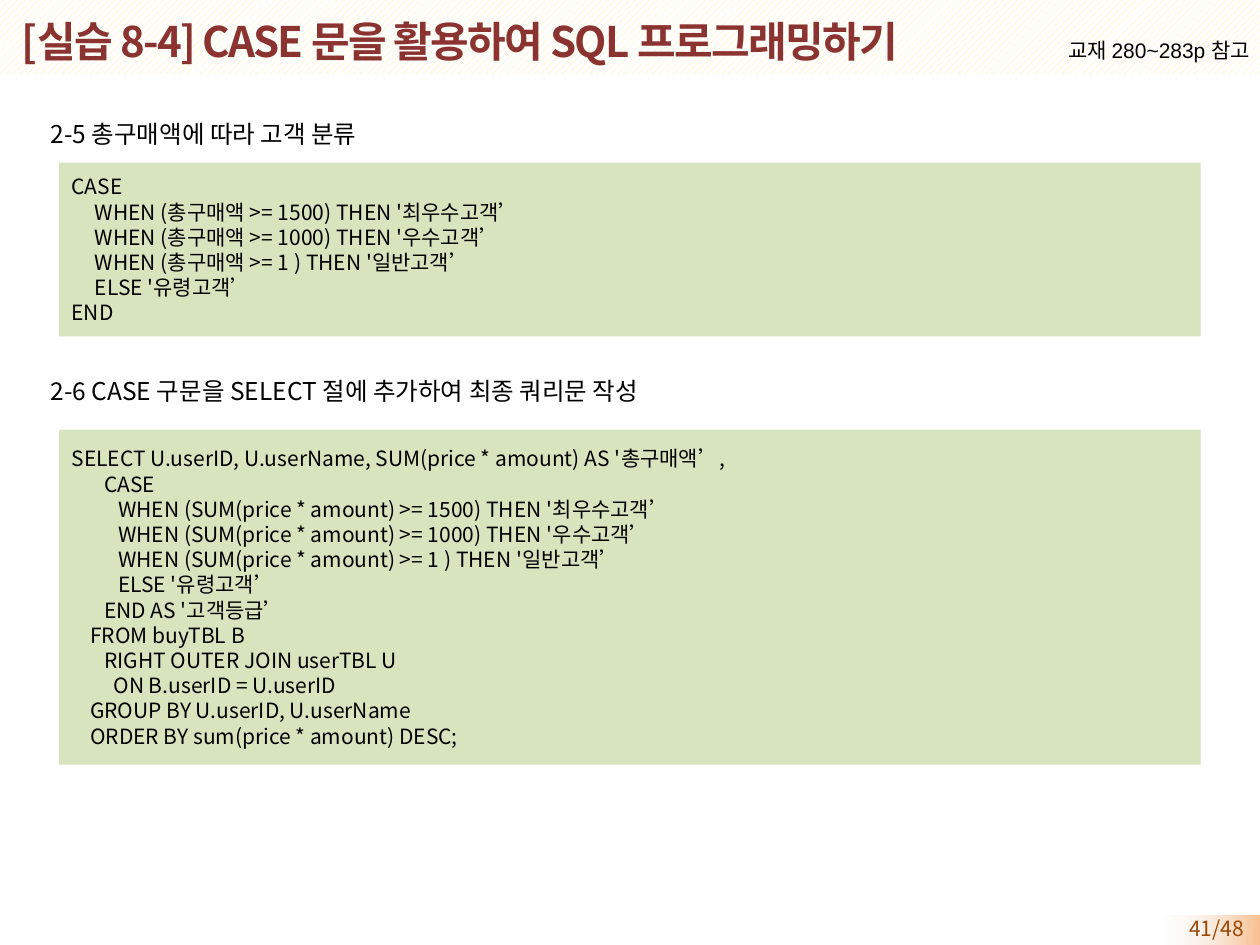
import pptx
import pptx.util
import pptx.dml.color
import pptx.enum.dml
import pptx.enum.shapes
import pptx.enum.text
import pptx.oxml.ns
from dataclasses import dataclass
from lxml import etree

Inches, Pt = pptx.util.Inches, pptx.util.Pt
ALIGN = pptx.enum.text.PP_ALIGN
ANCHOR = pptx.enum.text.MSO_ANCHOR
qn = pptx.oxml.ns.qn


@dataclass(frozen=True)
class Theme:
    font: str = "Noto Sans CJK KR"
    note_font: str = "Arial"
    ink: str = "000000"
    title_ink: str = "8B3331"
    page_ink: str = "984807"
    code_fill: str = "D7E4BD"
    stripe: str = "FDED9C"
    paper: str = "FFFFFF"
    tab_start: str = "FAC090"
    tab_end: str = "F2F2F2"
    title_size: int = 24
    heading_size: int = 14
    text_size: int = 12
    code_pitch: float = 14.4
    heading_pitch: int = 20
    code_space: float = 0.037  # width of one code column, inches


def rgb(value):
    return pptx.dml.color.RGBColor.from_string(value)


class SlideBuilder:
    def __init__(self, slide, theme):
        self.slide = slide
        self.theme = theme

    def place(self, shape, left, top, width, height):
        shape.left, shape.top = Inches(left), Inches(top)
        shape.width, shape.height = Inches(width), Inches(height)

    def style(self, paragraph, size, color, font=None, bold=False):
        for run in paragraph.runs:
            run.font.name = font or self.theme.font
            run.font.size = Pt(size)
            run.font.bold = bold
            run.font.color.rgb = rgb(color)
            east_asian = etree.Element(qn("a:ea"), typeface=self.theme.font)
            run.font._element.find(qn("a:latin")).addnext(east_asian)

    def rectangle(self, *box):
        shape = self.slide.shapes.add_shape(
            pptx.enum.shapes.MSO_SHAPE.RECTANGLE, *map(Inches, box))
        shape.shadow.inherit = False
        shape.line.fill.background()
        return shape

    def send_to_back(self, shape):
        shape.element.getparent().insert(2, shape.element)

    def striped_band(self, *box):
        band = self.rectangle(*box)
        band.fill.patterned()
        band.fill.pattern = pptx.enum.dml.MSO_PATTERN.WIDE_UPWARD_DIAGONAL
        band.fill.fore_color.rgb = rgb(self.theme.stripe)
        band.fill.back_color.rgb = rgb(self.theme.paper)
        self.send_to_back(band)

    def fading_tab(self, *box):
        tab = self.rectangle(*box)
        tab.fill.gradient()
        tab.fill.gradient_angle = 180
        stops = tab.fill.gradient_stops
        for stop, color, position in zip(
                stops, (self.theme.tab_start, self.theme.tab_end), (0, 1)):
            stop.color.rgb = rgb(color)
            stop.position = position
        end_color = tab.element.findall(".//" + qn("a:srgbClr"))[-1]
        etree.SubElement(end_color, qn("a:alpha"), val="0")
        self.send_to_back(tab)

    def title(self, text, *box):
        title = self.slide.shapes.title
        self.place(title, *box)
        frame = title.text_frame
        frame.text = text
        frame.vertical_anchor = ANCHOR.MIDDLE
        frame.auto_size = pptx.enum.text.MSO_AUTO_SIZE.NONE
        heading = frame.paragraphs[0]
        heading.alignment = ALIGN.LEFT
        self.style(heading, self.theme.title_size, self.theme.title_ink, bold=True)
        for run in heading.runs:
            run.font._element.set("spc", "-100")

    def headings(self, texts, gap, *box):
        body = self.slide.placeholders[1]
        self.place(body, *box)
        frame = body.text_frame
        frame.text = "\n".join(texts)
        frame.auto_size = pptx.enum.text.MSO_AUTO_SIZE.NONE
        for index, heading in enumerate(frame.paragraphs):
            heading.line_spacing = Pt(self.theme.heading_pitch)
            heading.space_before = Pt(gap if index else 0)
            properties = heading._p.get_or_add_pPr()
            properties.set("marL", str(Inches(0.23)))
            properties.set("indent", "0")
            etree.SubElement(properties, qn("a:buNone"))
            self.style(heading, self.theme.heading_size, self.theme.ink)

    def label(self, text, color, font, anchor, wrap, *box):
        label = self.slide.shapes.add_textbox(*map(Inches, box))
        frame = label.text_frame
        frame.text = text
        frame.word_wrap = wrap
        frame.vertical_anchor = anchor
        frame.paragraphs[0].alignment = ALIGN.RIGHT
        self.style(frame.paragraphs[0], self.theme.text_size, color, font)

    def code(self, lines, *box):
        """Each line is a pair: indent in columns, statement."""
        panel = self.rectangle(*box)
        panel.fill.solid()
        panel.fill.fore_color.rgb = rgb(self.theme.code_fill)
        frame = panel.text_frame
        frame.text = "\n".join(statement for _, statement in lines)
        frame.vertical_anchor = ANCHOR.MIDDLE
        for (columns, _), row in zip(lines, frame.paragraphs):
            row.alignment = ALIGN.JUSTIFY
            row.line_spacing = Pt(self.theme.code_pitch)
            properties = row._p.get_or_add_pPr()
            properties.set("marL", str(Inches(columns * self.theme.code_space)))
            properties.set("indent", "0")
            self.style(row, self.theme.text_size, self.theme.ink)


CASE_CODE = [
    (0, "CASE"),
    (5, "WHEN (총구매액 >= 1500) THEN '최우수고객’"),
    (5, "WHEN (총구매액 >= 1000) THEN '우수고객’"),
    (5, "WHEN (총구매액 >= 1 ) THEN '일반고객’"),
    (5, "ELSE '유령고객’"),
    (0, "END"),
]
QUERY_CODE = [
    (0, "SELECT U.userID, U.userName, SUM(price * amount) AS '총구매액’,"),
    (7, "CASE"),
    (10, "WHEN (SUM(price * amount) >= 1500) THEN '최우수고객’"),
    (10, "WHEN (SUM(price * amount) >= 1000) THEN '우수고객’"),
    (10, "WHEN (SUM(price * amount) >= 1 ) THEN '일반고객’"),
    (10, "ELSE '유령고객’"),
    (7, "END AS '고객등급’"),
    (4, "FROM buyTBL B"),
    (7, "RIGHT OUTER JOIN userTBL U"),
    (9, "ON B.userID = U.userID"),
    (4, "GROUP BY U.userID, U.userName"),
    (4, "ORDER BY sum(price * amount) DESC;"),
]


def main():
    deck = pptx.Presentation()
    deck.slide_width, deck.slide_height = Inches(10), Inches(7.5)
    theme = Theme()
    page = SlideBuilder(deck.slides.add_slide(deck.slide_layouts[1]), theme)

    # Header and footer decoration
    page.striped_band(0, -0.02, 10, 0.61)
    page.fading_tab(9.2, 7.27, 0.8, 0.24)

    # Title, textbook reference and page number
    page.title("[실습 8-4] CASE 문을 활용하여 SQL 프로그래밍하기", 0.07, 0.06, 8.51, 0.52)
    page.label("교재 280~283p 참고", theme.ink, theme.note_font, ANCHOR.TOP, False,
               8.25, 0.25, 1.77, 0.3)
    page.label("41/48", theme.page_ink, theme.font, ANCHOR.MIDDLE, True,
               9.05, 7.25, 0.92, 0.24)

    # Step headings with their code panels
    page.headings(["2-5 총구매액에 따라 고객 분류",
                   "2-6 CASE 구문을 SELECT 절에 추가하여 최종 쿼리문 작성"],
                  127, 0.07, 0.85, 9.8, 6.2)
    page.code(CASE_CODE, 0.47, 1.29, 9.06, 1.38)
    page.code(QUERY_CODE, 0.47, 3.41, 9.06, 2.66)

    deck.save("out.pptx")


if __name__ == "__main__":
    main()
